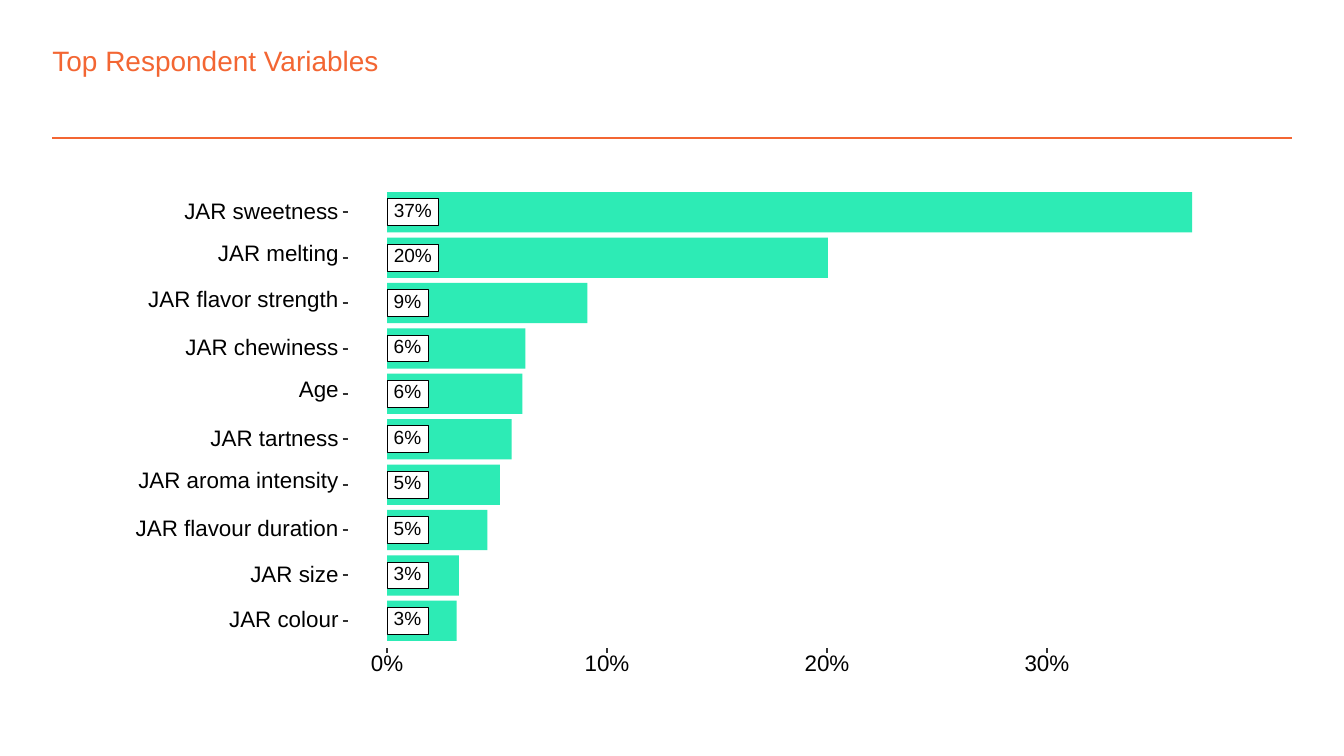
from lxml.etree import SubElement
from pptx import Presentation
from pptx.dml.color import RGBColor
from pptx.enum.shapes import MSO_CONNECTOR, MSO_SHAPE
from pptx.enum.text import MSO_ANCHOR, PP_ALIGN
from pptx.oxml.ns import qn
from pptx.util import Inches, Pt

ORANGE = RGBColor(0xF3, 0x66, 0x33)
GREEN = RGBColor(0x2D, 0xEB, 0xB5)
WHITE = RGBColor(0xFF, 0xFF, 0xFF)
BLACK = RGBColor(0x00, 0x00, 0x00)
TICK_GREY = RGBColor(0x33, 0x33, 0x33)

# Variable, importance in percent, width of its label
VARIABLES = [
    ("JAR sweetness", 36.6, 1.17),
    ("JAR melting", 20.04, 0.92),
    ("JAR flavor strength", 9.11, 1.44),
    ("JAR chewiness", 6.29, 1.16),
    ("Age", 6.15, 0.32),
    ("JAR tartness", 5.66, 0.98),
    ("JAR aroma intensity", 5.13, 1.52),
    ("JAR flavour duration", 4.57, 1.53),
    ("JAR size", 3.27, 0.68),
    ("JAR colour", 3.17, 0.84),
]

# Chart grid in inches
SLIDE_WIDTH = 10
SLIDE_HEIGHT = SLIDE_WIDTH * 9 / 16
MARGIN = 0.39
AXIS_LEFT = 2.88
INCHES_PER_PERCENT = (7.79 - AXIS_LEFT) / 30
FIRST_ROW, LAST_ROW = 1.58, 4.62
ROW_STEP = (LAST_ROW - FIRST_ROW) / (len(VARIABLES) - 1)
ROWS = [FIRST_ROW + index * ROW_STEP for index in range(len(VARIABLES))]
BAR_HEIGHT, BOX_HEIGHT = 0.3, 0.2
LABEL_RIGHT = 2.52
TICK_LEFT, TICK_TOP, TICK_LENGTH = 2.55, 4.82, 0.04

presentation = Presentation()
presentation.slide_width = Inches(SLIDE_WIDTH)
presentation.slide_height = Inches(SLIDE_HEIGHT)
slide = presentation.slides.add_slide(presentation.slide_layouts[5])


def add_line(shapes, start, end, color, width):
    points = [Inches(length) for length in (*start, *end)]
    connector = shapes.add_connector(MSO_CONNECTOR.STRAIGHT, *points)
    connector.line.color.rgb = color
    connector.line.width = Pt(width)
    SubElement(connector.element.spPr, qn("a:effectLst"))


def write_text(shape, text, size, color, frame_format, paragraph_format):
    frame = shape.text_frame
    frame.text = text
    margins = dict.fromkeys(
        ("margin_left", "margin_top", "margin_right", "margin_bottom"), 0)
    paragraph = frame.paragraphs[0]
    font_format = {"name": "Arial", "size": Pt(size)}
    for target, values in ((frame, margins | frame_format),
                           (paragraph, paragraph_format),
                           (paragraph.runs[0].font, font_format)):
        for name, value in values.items():
            setattr(target, name, value)
    paragraph.runs[0].font.color.rgb = color


# Title and rule
add_line(slide.shapes, (MARGIN, 1.03), (SLIDE_WIDTH - MARGIN, 1.03), ORANGE, 1)
title = slide.shapes.title
title.left, title.top, title.width, title.height = (
    Inches(length) for length in (MARGIN, 0.32, 8.29, 0.25))
write_text(title, "Top Respondent Variables", 15, ORANGE,
           {"vertical_anchor": MSO_ANCHOR.TOP, "word_wrap": True},
           {"alignment": PP_ALIGN.LEFT})

# Rectangles: panel, bars, value boxes as (left, top, width, height, fill, line)
chart_shapes = slide.shapes.add_group_shape().shapes
rectangles = [(0.75, 1.3, 8.5, 4, WHITE, (WHITE, 1.07))]
for row, (name, percent, label_width) in zip(ROWS, VARIABLES):
    rectangles.append((AXIS_LEFT, row - BAR_HEIGHT / 2,
                       percent * INCHES_PER_PERCENT, BAR_HEIGHT, GREEN, None))
for row, (name, percent, label_width) in zip(ROWS, VARIABLES):
    box_width = 0.17 + 0.07 * len(f"{percent:.0f}%")
    rectangles.append((AXIS_LEFT, row - BOX_HEIGHT / 2,
                       box_width, BOX_HEIGHT, WHITE, (BLACK, 0.53)))
for *lengths, fill, line in rectangles:
    rectangle = chart_shapes.add_shape(
        MSO_SHAPE.RECTANGLE, *(Inches(length) for length in lengths))
    rectangle.shadow.inherit = False
    rectangle.fill.solid()
    rectangle.fill.fore_color.rgb = fill
    if line:
        rectangle.line.color.rgb, rectangle.line.width = line[0], Pt(line[1])
    else:
        rectangle.line.fill.background()

# Labels as (text, size, left, top, width, height, alignment)
labels = []
for row, (name, percent, label_width) in zip(ROWS, VARIABLES):
    value = f"{percent:.0f}%"
    labels.append((value, 10.2, AXIS_LEFT + 0.05, row - 0.06,
                   0.1 + 0.07 * len(value), 0.11, PP_ALIGN.LEFT))
    # Names with descending letters sit slightly higher
    height, rise = (0.15, 0.02) if set(name) & set("gy") else (0.12, 0)
    labels.append((name, 12, LABEL_RIGHT - label_width,
                   row - height / 2 - rise, label_width, height,
                   PP_ALIGN.RIGHT))

# Ticks on both axes
for row in ROWS:
    add_line(chart_shapes, (TICK_LEFT, row), (TICK_LEFT + TICK_LENGTH, row),
             TICK_GREY, 1.07)
for percent in range(0, 40, 10):
    tick_x = AXIS_LEFT + percent * INCHES_PER_PERCENT
    add_line(chart_shapes, (tick_x, TICK_TOP + TICK_LENGTH),
             (tick_x, TICK_TOP), TICK_GREY, 1.07)
    width = 0.37 if percent else 0.28
    labels.append((f"{percent}%", 12, tick_x - width / 2, 4.88,
                   width, 0.13, PP_ALIGN.CENTER))

# Text of the chart
for text, size, *lengths, alignment in labels:
    text_box = chart_shapes.add_textbox(*(Inches(length) for length in lengths))
    write_text(text_box, text, size, BLACK,
               {"vertical_anchor": MSO_ANCHOR.MIDDLE, "word_wrap": False},
               {"alignment": alignment, "line_spacing": Pt(size)})

presentation.save("out.pptx")
